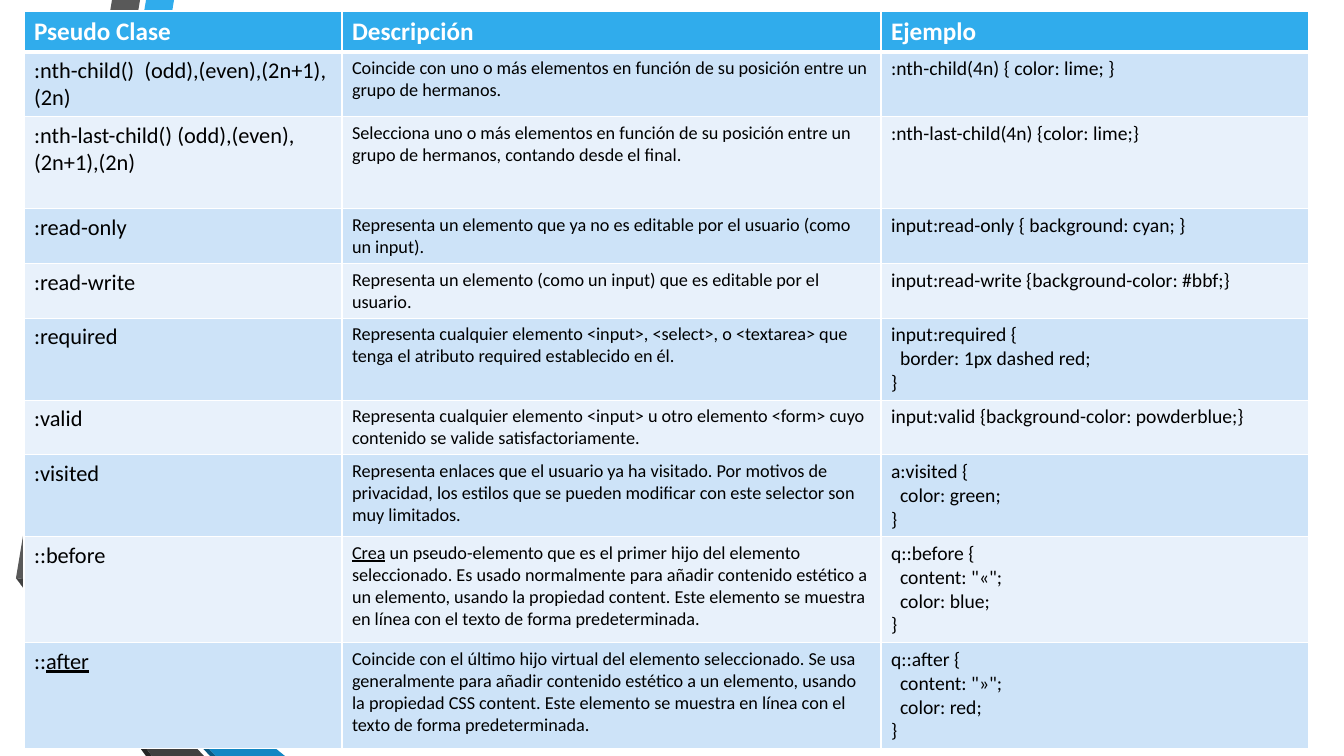
"""Build a slide with a table of CSS pseudo-classes over slanted ribbons."""
from pptx import Presentation
from pptx.dml.color import RGBColor
from pptx.oxml.ns import qn
from pptx.util import Emu, Pt
from lxml import etree

PIXEL = 914400 / 100.8
WHITE = RGBColor(0xFF, 0xFF, 0xFF)
BLACK = RGBColor(0x00, 0x00, 0x00)
BLUE = RGBColor(0x30, 0xAC, 0xEC)
DEEP_BLUE = RGBColor(0x12, 0x87, 0xC3)
DARK_BLUE = RGBColor(0x0C, 0x5A, 0x82)
GRAY = RGBColor(0x59, 0x59, 0x59)
DEEP_GRAY = RGBColor(0x40, 0x40, 0x40)
DARK_GRAY = RGBColor(0x26, 0x26, 0x26)
ODD_ROW = RGBColor(0xCD, 0xE3, 0xF8)
EVEN_ROW = RGBColor(0xE8, 0xF1, 0xFB)

RIBBONS = [
    (BLUE, [(50, 583), (78, 588), (174, 0), (146, 0)]),
    (GRAY, [(140, 0), (112, 0), (16, 578), (44, 582)]),
    (DARK_GRAY, [(16, 578), (146, 756), (152, 756)]),
    (DARK_BLUE, [(50, 584), (210, 756), (216, 756)]),
    (DEEP_BLUE, [(50, 583), (50, 584), (216, 756), (285, 756), (78, 588)]),
    (DEEP_GRAY, [(204, 756), (48, 588), (43, 583), (44, 582), (16, 578), (152, 756)]),
]
COLUMN_WIDTHS = [318, 539, 428]
COLUMN_SIZES = [16, 13, 14]
HEADER_SIZE = 18
CODE_INDENT = 9
UNDERLINE_MARK = "_"
ROWS = [
    (40, "Pseudo Clase", "Descripción", "Ejemplo"),
    (65, ":nth-child()  (odd),(even),(2n+1),(2n)",
     "Coincide con uno o más elementos en función de su posición entre un "
     "grupo de hermanos.",
     ":nth-child(4n) { color: lime; }"),
    (92, ":nth-last-child() (odd),(even),(2n+1),(2n)",
     "Selecciona uno o más elementos en función de su posición entre un "
     "grupo de hermanos, contando desde el final.",
     ":nth-last-child(4n) {color: lime;}"),
    (55, ":read-only",
     "Representa un elemento que ya no es editable por el usuario (como un input).",
     "input:read-only { background: cyan; }"),
    (54, ":read-write",
     "Representa un elemento (como un input) que es editable por el usuario.",
     "input:read-write {background-color: #bbf;}"),
    (82, ":required",
     "Representa cualquier elemento <input>, <select>, o <textarea> que tenga "
     "el atributo required establecido en él.",
     "input:required {\n\tborder: 1px dashed red;\n}"),
    (54, ":valid",
     "Representa cualquier elemento <input> u otro elemento <form> cuyo "
     "contenido se valide satisfactoriamente.",
     "input:valid {background-color: powderblue;}"),
    (82, ":visited",
     "Representa enlaces que el usuario ya ha visitado. Por motivos de "
     "privacidad, los estilos que se pueden modificar con este selector son "
     "muy limitados.",
     "a:visited {\n\tcolor: green;\n}"),
    (106, "::before",
     "_Crea_ un pseudo-elemento que es el primer hijo del elemento "
     "seleccionado. Es usado normalmente para añadir contenido estético a un "
     "elemento, usando la propiedad content. Este elemento se muestra en "
     "línea con el texto de forma predeterminada.",
     'q::before {\n\tcontent: "«";\n\tcolor: blue;\n}'),
    (105, "::_after_",
     "Coincide con el último hijo virtual del elemento seleccionado. Se usa "
     "generalmente para añadir contenido estético a un elemento, usando la "
     "propiedad CSS content. Este elemento se muestra en línea con el texto "
     "de forma predeterminada.",
     'q::after {\n\tcontent: "»";\n\tcolor: red;\n}'),
]


def px(count):
    return Emu(round(count * PIXEL))


def add_borders(cell, row_index):
    properties = cell._tc.get_or_add_tcPr()
    for side in "LRTB":
        under_header = (row_index, side) in ((0, "B"), (1, "T"))
        line = etree.SubElement(properties, qn("a:ln" + side), w=str(Pt(3 if under_header else 1)))
        fill = etree.SubElement(line, qn("a:solidFill"))
        etree.SubElement(fill, qn("a:srgbClr"), val=str(WHITE))


deck = Presentation()
deck.slide_width, deck.slide_height = px(1344), px(756)
page = deck.slides.add_slide(deck.slide_layouts[6])

for color, points in RIBBONS:
    builder = page.shapes.build_freeform(*points[0], scale=PIXEL)
    builder.add_line_segments(points[1:], close=True)
    ribbon = builder.convert_to_shape()
    ribbon.shadow.inherit = False
    ribbon.fill.solid()
    ribbon.fill.fore_color.rgb = color
    ribbon.line.fill.background()

frame = page.shapes.add_table(
    len(ROWS), len(COLUMN_WIDTHS), px(24), px(11),
    px(sum(COLUMN_WIDTHS)), px(sum(row[0] for row in ROWS)))
table = frame.table
for column, width in zip(table.columns, COLUMN_WIDTHS):
    column.width = px(width)

for row_index, (height, *texts) in enumerate(ROWS):
    table.rows[row_index].height = px(height)
    is_header = row_index == 0
    row_fill = BLUE if is_header else ODD_ROW if row_index % 2 else EVEN_ROW
    for column_index, text in enumerate(texts):
        cell = table.cell(row_index, column_index)
        add_borders(cell, row_index)
        cell.fill.solid()
        cell.fill.fore_color.rgb = row_fill
        cell.text_frame.text = "\n".join([""] * len(text.split("\n")))
        for para, line_text in zip(cell.text_frame.paragraphs, text.split("\n")):
            if line_text.startswith("\t"):
                para._p.get_or_add_pPr().set("marL", str(px(CODE_INDENT)))
            for part_index, part in enumerate(line_text.strip().split(UNDERLINE_MARK)):
                if not part:
                    continue
                span = para.add_run()
                span.text = part
                span.font.name = "Calibri"
                span.font.size = Pt(HEADER_SIZE if is_header else COLUMN_SIZES[column_index])
                span.font.bold = is_header
                span.font.underline = part_index % 2 == 1
                span.font.color.rgb = WHITE if is_header else BLACK

deck.save("out.pptx")
